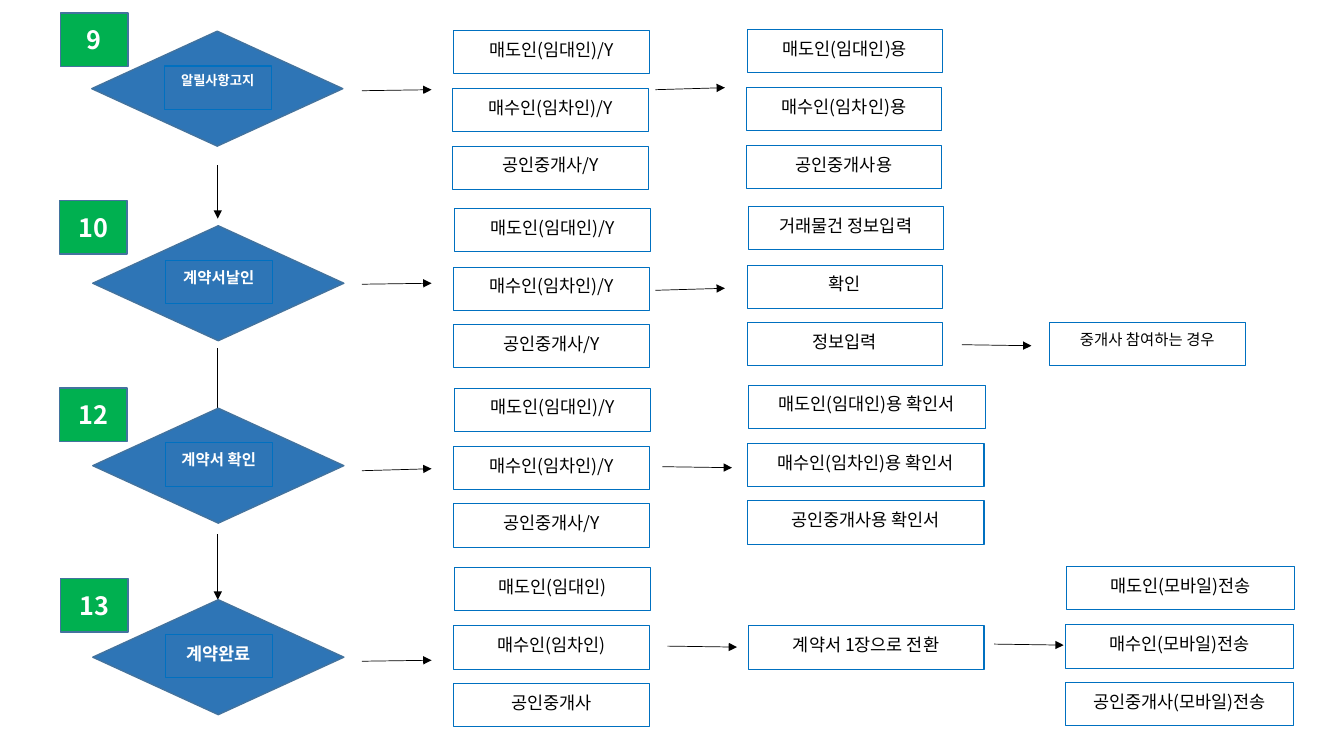
from lxml.etree import SubElement
from pptx import Presentation
from pptx.dml.color import RGBColor
from pptx.enum.shapes import MSO_CONNECTOR, MSO_SHAPE
from pptx.enum.text import MSO_ANCHOR, PP_ALIGN
from pptx.oxml.ns import qn
from pptx.util import Inches, Pt

FONT = "Noto Sans CJK KR"
COLORS = {
    "diamond": "2E75B6",
    "edge": "43739E",
    "box": "0070C0",
    "badge": "00B050",
    "white": "FFFFFF",
    "black": "000000",
}
BOX_HEIGHT = 0.43
STACK_OFFSETS = (0, 0.58, 1.15)

STEPS = [
    ("9", 0.6, 0.13, 0.91, 0.31, "알릴사항고지", 9.5),
    ("10", 0.59, 1.99, 0.92, 2.24, "계약서날인", 11),
    ("12", 0.59, 3.85, 0.92, 4.05, "계약서 확인", 11),
    ("13", 0.6, 5.74, 0.92, 5.95, "계약완료", 12.5),
]
PARTIES_Y = ["매도인(임대인)/Y", "매수인(임차인)/Y", "공인중개사/Y"]
STACKS = [
    (4.49, 0.3, 1.94, PARTIES_Y),
    (4.5, 2.07, 1.94, PARTIES_Y),
    (4.5, 3.85, 1.94, PARTIES_Y),
    (4.5, 5.63, 1.94, ["매도인(임대인)", "매수인(임차인)", "공인중개사"]),
    (7.4, 0.29, 1.94, ["매도인(임대인)용", "매수인(임차인)용", "공인중개사용"]),
    (7.41, 2.05, 1.94, ["거래물건 정보입력", "확인", "정보입력"]),
    (7.41, 3.82, 2.35,
     ["매도인(임대인)용 확인서", "매수인(임차인)용 확인서", "공인중개사용 확인서"]),
    (10.57, 5.62, 2.26,
     ["매도인(모바일)전송", "매수인(모바일)전송", "공인중개사(모바일)전송"]),
]
DOWN_ARROWS = [(1.64, 2.17), (3.45, 4.3), (5.3, 5.95)]
SIDE_ARROWS = [
    (3.59, 0.9, 0.89), (3.59, 2.82, 2.81), (3.59, 4.67, 4.65), (3.59, 6.56, 6.55),
    (6.5, 0.89, 0.87), (6.5, 2.88, 2.86), (6.57, 4.63, 4.64), (6.62, 6.41, 6.42),
    (9.54, 3.42, 3.43), (9.86, 6.39, 6.4),
]


def rgb(name):
    return RGBColor.from_string(COLORS[name])


def set_attributes(obj, values):
    for name, value in values.items():
        setattr(obj, name, value)


def add_figure(s, kind, x, y, w, h, fill, line, weight):
    sp = s.shapes.add_shape(kind, Inches(x), Inches(y), Inches(w), Inches(h))
    sp.shadow.inherit = False
    if fill:
        sp.fill.solid()
        sp.fill.fore_color.rgb = rgb(fill)
    else:
        sp.fill.background()
    sp.line.color.rgb = rgb(line)
    sp.line.width = Pt(weight)
    return sp


def write_text(sp, text, size, color, bold, anchor, spacing):
    tf = sp.text_frame
    set_attributes(tf, {
        "word_wrap": True, "vertical_anchor": anchor, "margin_left": 0,
        "margin_right": 0, "margin_top": 0, "margin_bottom": 0,
    })
    p = tf.paragraphs[0]
    set_attributes(p, {"alignment": PP_ALIGN.CENTER, "line_spacing": spacing})
    r = p.add_run()
    r.text = text
    set_attributes(r.font, {"name": FONT, "size": Pt(size), "bold": bold})
    r.font.color.rgb = rgb(color)
    SubElement(r.font._element, qn("a:ea")).set("typeface", FONT)


def add_box(s, x, y, w, text, size=12.5, color="black", bold=False):
    sp = add_figure(s, MSO_SHAPE.RECTANGLE, x, y, w, BOX_HEIGHT, None, "box", 0.75)
    write_text(sp, text, size, color, bold, MSO_ANCHOR.TOP, 1.4)


def add_stack(s, x, y, w, labels):
    for i, (offset, label) in enumerate(zip(STACK_OFFSETS, labels)):
        left = x + 0.01 if i == 0 else x
        add_box(s, left, y + offset, w, label)


def add_step(s, number, badge_x, badge_y, x, y, label, size):
    add_figure(s, MSO_SHAPE.DIAMOND, x, y, 2.49, 1.14, "diamond", "edge", 1)
    add_box(s, x + 0.72, y + 0.345, 1.06, label, size, "white", True)
    badge = add_figure(s, MSO_SHAPE.RECTANGLE, badge_x, badge_y, 0.67, 0.53,
                       "badge", "edge", 1)
    write_text(badge, number, 18, "white", True, MSO_ANCHOR.MIDDLE, 1.0)


def add_arrow(s, x1, y1, x2, y2):
    cxn = s.shapes.add_connector(MSO_CONNECTOR.STRAIGHT, Inches(x1), Inches(y1),
                                 Inches(x2), Inches(y2))
    cxn.line.color.rgb = rgb("black")
    cxn.line.width = Pt(0.5)
    SubElement(cxn.line._get_or_add_ln(), qn("a:tailEnd")).set("type", "triangle")
    SubElement(cxn._element.spPr, qn("a:effectLst"))


def main():
    prs = Presentation()
    prs.slide_width, prs.slide_height = Inches(13.33), Inches(7.5)
    s = prs.slides.add_slide(prs.slide_layouts[6])
    for top, bottom in DOWN_ARROWS:
        add_arrow(s, 2.16, top, 2.16, bottom)
    for step in STEPS:
        add_step(s, *step)
    for stack in STACKS:
        add_stack(s, *stack)
    add_box(s, 10.41, 3.2, 1.94, "중개사 참여하는 경우", 11)
    add_box(s, 7.42, 6.21, 2.34, "계약서 1장으로 전환")
    for x, start, end in SIDE_ARROWS:
        add_arrow(s, x, start, x + 0.69, end)
    prs.save("out.pptx")


if __name__ == "__main__":
    main()
